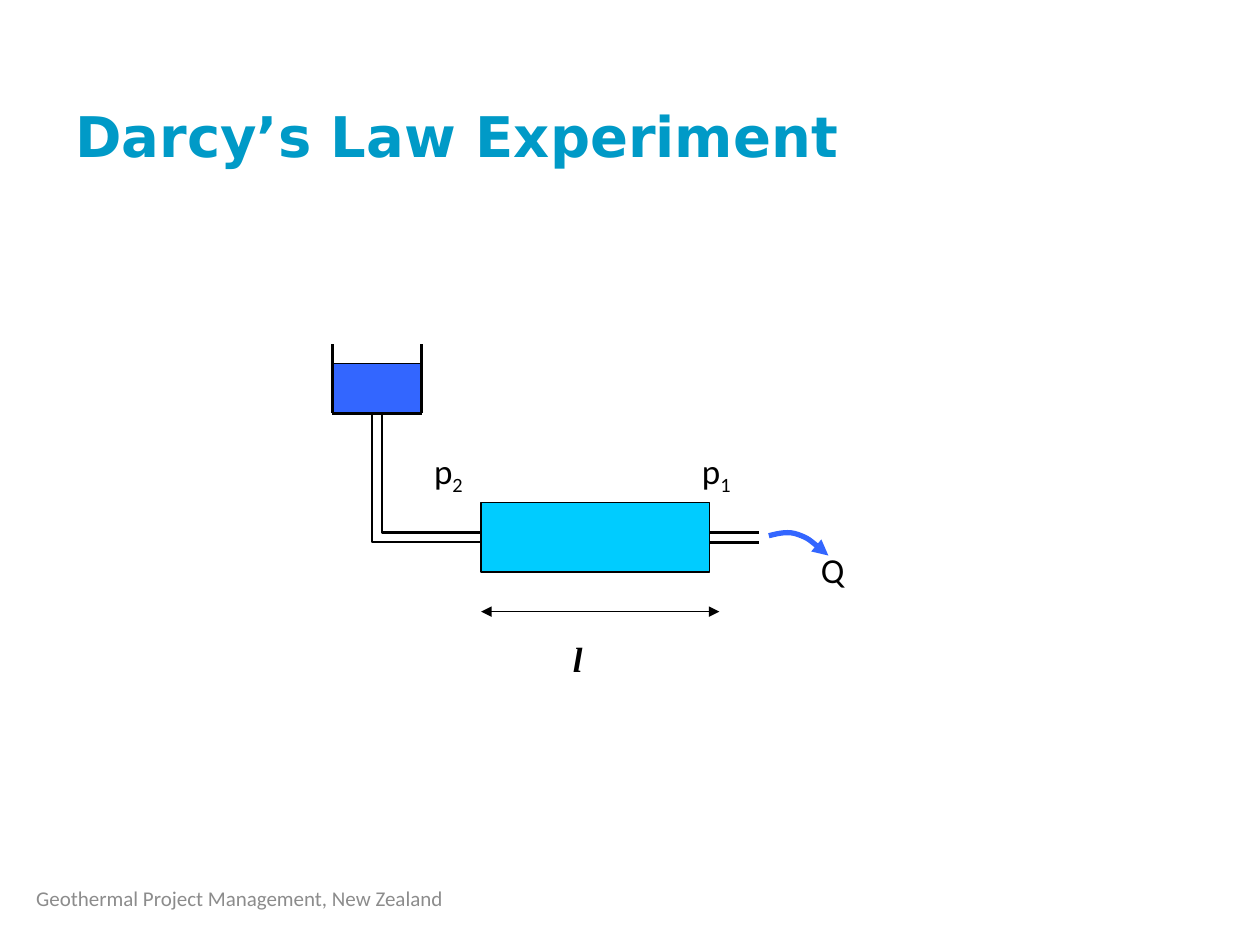
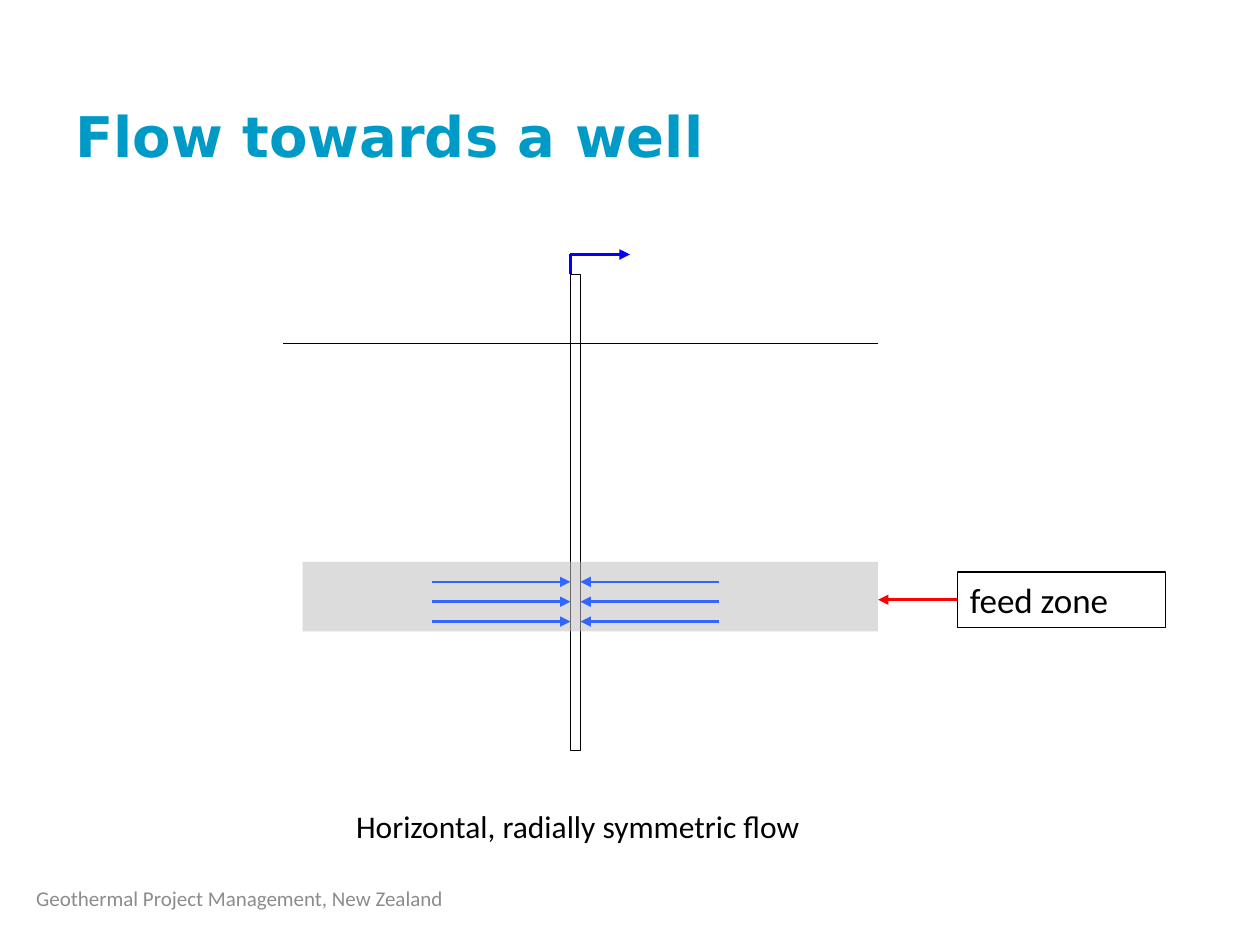
from lxml import etree
from pptx import Presentation
from pptx.dml.color import RGBColor
from pptx.enum.shapes import MSO_CONNECTOR, MSO_SHAPE
from pptx.enum.text import MSO_ANCHOR, PP_ALIGN
from pptx.oxml.ns import qn
from pptx.util import Cm, Pt

RECTANGLE = MSO_SHAPE.RECTANGLE
STRAIGHT = MSO_CONNECTOR.STRAIGHT
TOP = MSO_ANCHOR.TOP
MIDDLE = MSO_ANCHOR.MIDDLE
LEFT = PP_ALIGN.LEFT
LEFT_SIDE = 1

TITLE_BLUE = RGBColor(0x00, 0x9A, 0xC7)
FOOTER_GREY = RGBColor(0x8C, 0x8C, 0x8C)
BLACK = RGBColor(0x00, 0x00, 0x00)
WATER_BLUE = RGBColor(0x33, 0x66, 0xFF)
SAMPLE_CYAN = RGBColor(0x00, 0xCC, 0xFF)
ZONE_GREY = RGBColor(0xC0, 0xC0, 0xC0)
DISCHARGE_BLUE = RGBColor(0x00, 0x00, 0xFF)
POINTER_RED = RGBColor(0xFF, 0x00, 0x00)

BODY_FONT = "Calibri"
TITLE_FONT = "DejaVu Sans"
SYMBOL_FONT = "Times New Roman"
FOOTER = "Geothermal Project Management, New Zealand"


def write_text(shape, text, size=20, font=BODY_FONT, color=BLACK, bold=False,
               italic=False, subscript="", anchor=TOP, wrap=True):
    frame = shape.text_frame
    frame.word_wrap = wrap
    frame.vertical_anchor = anchor
    paragraph = frame.paragraphs[0]
    paragraph.alignment = LEFT
    for part in filter(None, (text, subscript)):
        run = paragraph.add_run()
        run.text = part
        run.font.size = Pt(size)
        run.font.name = font
        run.font.color.rgb = color
        run.font.bold = bold
        run.font.italic = italic
    if subscript:
        run.font._element.set("baseline", "-25000")


def add_label(slide, text, left, top, width, height, **text_format):
    label = slide.shapes.add_textbox(Cm(left), Cm(top), Cm(width), Cm(height))
    write_text(label, text, **text_format)


def add_box(slide, left, top, width, height, fill=None, line=BLACK, alpha=None):
    box = slide.shapes.add_shape(RECTANGLE, Cm(left), Cm(top), Cm(width), Cm(height))
    box.shadow.inherit = False
    if fill is None:
        box.fill.background()
    else:
        box.fill.solid()
        box.fill.fore_color.rgb = fill
    if alpha is not None:
        color = box._element.spPr.find(qn("a:solidFill"))[0]
        etree.SubElement(color, qn("a:alpha")).set("val", str(alpha * 1000))
    if line is None:
        box.line.fill.background()
    else:
        style_line(box, line, 0.75)
    return box


def style_line(shape, color, weight, arrows=()):
    shape.line.color.rgb = color
    shape.line.width = Pt(weight)
    outline = shape._element.spPr.find(qn("a:ln"))
    for end in arrows:
        etree.SubElement(outline, qn(f"a:{end}End")).set("type", "triangle")


def add_line(slide, start, end, color=BLACK, weight=1.5, arrows=()):
    line = slide.shapes.add_connector(STRAIGHT, *map(Cm, start + end))
    style_line(line, color, weight, arrows)
    etree.SubElement(line._element.spPr, qn("a:effectLst"))
    return line


def add_outline(slide, points, color=BLACK, weight=1.5, arrows=()):
    start, *rest = [(Cm(x), Cm(y)) for x, y in points]
    builder = slide.shapes.build_freeform(*start)
    builder.add_line_segments(rest, close=False)
    outline = builder.convert_to_shape()
    outline.shadow.inherit = False
    outline.fill.background()
    style_line(outline, color, weight, arrows)
    return outline


def add_curve(slide, points, **line_format):
    curve = add_outline(slide, points, **line_format)
    route = next(curve._element.iter(qn("a:path")))
    segments = route.findall(qn("a:lnTo"))
    for first in range(0, len(segments), 3):
        bezier = etree.SubElement(route, qn("a:cubicBezTo"))
        for segment in segments[first:first + 3]:
            bezier.append(segment[0])
            route.remove(segment)


def start_slide(deck, title):
    slide = deck.slides.add_slide(deck.slide_layouts[6])
    add_label(slide, FOOTER, 0.48, 17.6, 9.07, 1.02, size=12,
              color=FOOTER_GREY, anchor=MIDDLE)
    add_label(slide, title, 1.27, 1.93, 22.86, 2.21, size=32,
              font=TITLE_FONT, color=TITLE_BLUE, bold=True)
    return slide


def draw_darcy_experiment(slide):
    tank_left, tank_right, tank_rim, tank_floor = 6.7, 8.5, 6.93, 8.33
    sample_left, sample_right = 9.7, 14.3
    pipe_top, pipe_bottom = 10.73, 10.93

    add_box(slide, tank_left, 7.33, tank_right - tank_left, 1, fill=WATER_BLUE)
    for pipe_x, pipe_y in ((7.5, pipe_bottom), (7.7, pipe_top)):
        add_outline(slide, [(pipe_x, tank_floor), (pipe_x, pipe_y), (sample_left, pipe_y)])
    add_box(slide, sample_left, 10.13, sample_right - sample_left, 1.4, fill=SAMPLE_CYAN)
    for pipe_y in (pipe_top, pipe_bottom):
        add_line(slide, (sample_right, pipe_y), (15.3, pipe_y))
    add_curve(slide, [(15.5, 10.8), (15.7, 10.75), (15.9, 10.7), (16.1, 10.78),
                      (16.3, 10.85), (16.5, 11.03), (16.7, 11.2)],
              color=WATER_BLUE, weight=3, arrows=("tail",))
    add_line(slide, (sample_left, 12.33), (14.5, 12.33), weight=0.75,
             arrows=("head", "tail"))
    for wall_x in (tank_right, tank_left):
        add_line(slide, (wall_x, tank_floor), (wall_x, tank_rim))
    add_line(slide, (tank_left, tank_floor), (tank_right, tank_floor))

    add_label(slide, "Q", 16.3, 10.93, 1.75, 1.1)
    for subscript, left in (("2", 8.5), ("1", 13.9)):
        add_label(slide, "p", left, 8.93, 2, 1.1, subscript=subscript)
    add_label(slide, "l", 11.3, 12.73, 1.2, 1.1, font=SYMBOL_FONT, bold=True, italic=True)


def draw_well_flow(slide):
    well_left, well_right, well_top = 11.5, 11.7, 5.53
    zone_left, zone_right = 6.1, 17.7
    outlet_y, pointer_y = 5.13, 12.09

    add_box(slide, well_left, well_top, well_right - well_left, 9.6)
    add_line(slide, (5.7, 6.93), (zone_right, 6.93), weight=0.75)
    add_box(slide, zone_left, 11.33, zone_right - zone_left, 1.4,
            fill=ZONE_GREY, line=None, alpha=55)
    for source_x, well_side in ((14.5, well_right), (8.7, well_left)):
        for row in range(3):
            flow_y = 11.73 + 0.4 * row
            add_line(slide, (source_x, flow_y), (well_side, flow_y),
                     color=WATER_BLUE, arrows=("tail",))
    add_line(slide, (well_left, outlet_y), (12.7, outlet_y),
             color=DISCHARGE_BLUE, weight=2, arrows=("tail",))
    add_line(slide, (well_left, outlet_y), (well_left, well_top),
             color=DISCHARGE_BLUE, weight=2)

    feed_zone = add_box(slide, 19.3, 11.53, 4.2, 1.12)
    write_text(feed_zone, "feed zone")
    pointer = add_line(slide, (19.3, pointer_y), (zone_right, pointer_y),
                       color=POINTER_RED, arrows=("tail",))
    pointer.begin_connect(feed_zone, LEFT_SIDE)
    add_label(slide, "Horizontal, radially symmetric flow", 6.93, 16.15, 9.55, 1.02,
              size=18, wrap=False)


def main():
    deck = Presentation()
    deck.slide_width = Cm(25.4)
    deck.slide_height = Cm(19.05)
    draw_darcy_experiment(start_slide(deck, "Darcy’s Law Experiment"))
    draw_well_flow(start_slide(deck, "Flow towards a well"))
    deck.save("out.pptx")


if __name__ == "__main__":
    main()
